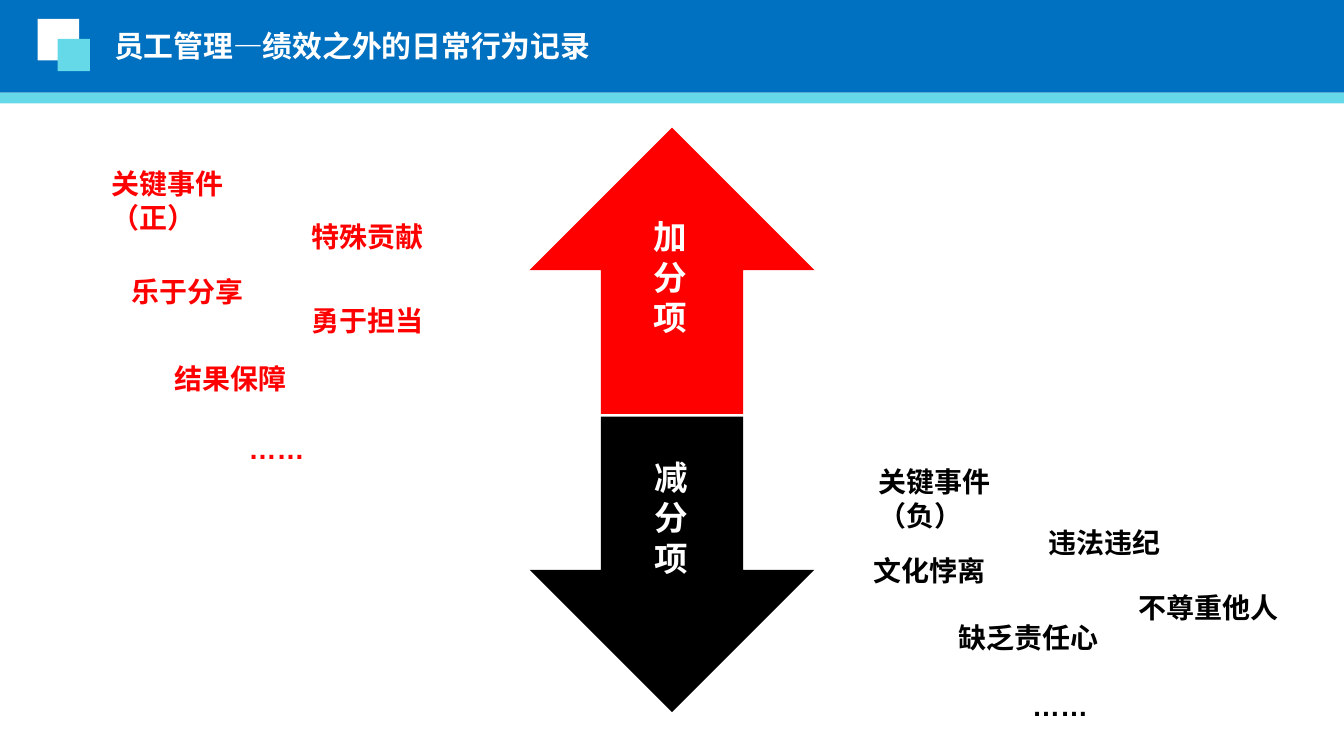
import pptx
import pptx.util
import pptx.dml.color
import pptx.enum.shapes
import pptx.enum.text
import lxml.etree

Inches = pptx.util.Inches
KIND = pptx.enum.shapes.MSO_SHAPE
BLUE, AQUA, RED, BLACK, WHITE = "0070C0", "66D9E8", "FF0000", "000000", "FFFFFF"

ARROWS = [
    (KIND.DOWN_ARROW, 3.94, 3.1, 2.12, 2.2, BLACK, 0),
    (KIND.DOWN_ARROW, 3.94, 0.95, 2.12, 2.13, RED, 180),
]
HEADER = [
    (KIND.RECTANGLE, 0, 0, 10, 0.69, BLUE),
    (KIND.RECTANGLE, 0, 0.69, 10, 0.08, AQUA),
    (KIND.RECTANGLE, 0.28, 0.14, 0.31, 0.31, WHITE),
    (KIND.RECTANGLE, 0.43, 0.29, 0.24, 0.24, AQUA),
]
TITLE = "员工管理—绩效之外的日常行为记录"
LABELS = [("加分项", 4.86, 1.61), ("减分项", 4.87, 3.4)]
EVENTS = {
    RED: [
        ("关键事件（正）", 0.83, 1.24),
        ("特殊贡献", 2.32, 1.63),
        ("乐于分享", 0.98, 2.04),
        ("勇于担当", 2.32, 2.26),
        ("结果保障", 1.3, 2.69),
        ("……", 1.85, 3.21),
    ],
    BLACK: [
        ("关键事件（负）", 6.54, 3.46),
        ("违法违纪", 7.8, 3.91),
        ("文化悖离", 6.5, 4.12),
        ("不尊重他人", 8.47, 4.39),
        ("缺乏责任心", 7.13, 4.62),
        ("……", 7.68, 5.12),
    ],
}


def color(code):
    return pptx.dml.color.RGBColor.from_string(code)


def draw(slide, kind, left, top, width, height, fill, turn=0):
    shape = slide.shapes.add_shape(kind, *map(Inches, (left, top, width, height)))
    shape.rotation = turn
    shape.shadow.inherit = False
    shape.fill.solid()
    shape.fill.fore_color.rgb = color(fill)
    shape.line.fill.background()


def write(slide, text, left, top, width, height, size, fill, face="Calibri", inset=0):
    box = slide.shapes.add_textbox(*map(Inches, (left, top, width, height)))
    frame = box.text_frame
    frame.text = text
    frame.word_wrap = True
    frame.auto_size = pptx.enum.text.MSO_AUTO_SIZE.SHAPE_TO_FIT_TEXT
    frame.margin_left = frame.margin_right = Inches(2 * inset)
    frame.margin_top = frame.margin_bottom = Inches(inset)
    font = frame.paragraphs[0].runs[0].font
    font.size = pptx.util.Pt(size)
    font.bold = True
    font.color.rgb = color(fill)
    font.name = face
    east = lxml.etree.SubElement(font._element, pptx.oxml.ns.qn("a:ea"))
    east.set("typeface", face)


def main():
    deck = pptx.Presentation()
    deck.slide_width = Inches(10)
    deck.slide_height = deck.slide_width * 9 // 16
    slide = deck.slides.add_slide(deck.slide_layouts[6])
    for arrow in ARROWS:
        draw(slide, *arrow)
    for block in HEADER:
        draw(slide, *block)
    write(slide, TITLE, 0.75, 0.16, 4.25, 0.37, 16, WHITE, "Noto Sans CJK SC", 0.05)
    for text, left, top in LABELS:
        write(slide, text, left, top, 0.29, 0.91, 18, WHITE)
    for fill, events in EVENTS.items():
        for text, left, top in events:
            face = "Arial" if text == "……" else "Calibri"
            write(slide, text, left, top, 1.26, 0.25, 15, fill, face)
    deck.save("out.pptx")


if __name__ == "__main__":
    main()
